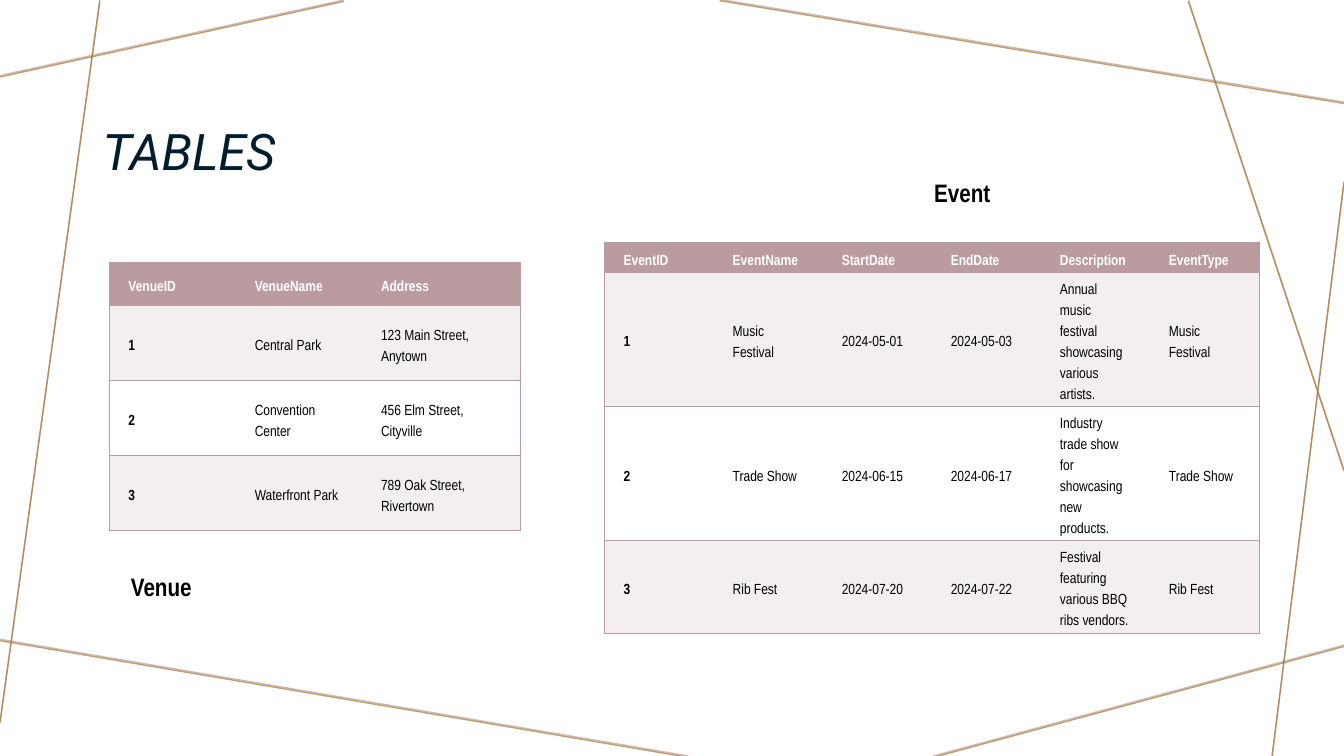
from dataclasses import dataclass

from lxml.etree import SubElement
from pptx import Presentation
from pptx.dml.color import RGBColor
from pptx.enum.shapes import MSO_CONNECTOR
from pptx.enum.text import MSO_ANCHOR
from pptx.oxml.ns import qn
from pptx.util import Pt


@dataclass(frozen=True)
class Theme:
    """Colours, fonts and type sizes of the slide."""
    rose: str = "BA9CA0"
    gold: str = "A57931"
    navy: str = "001E2E"
    black: str = "000000"
    white: str = "FFFFFF"
    band: str = "F3EFF0"
    title_font: str = "Roboto"
    body_font: str = "Arial Narrow"
    title_size: float = 36
    caption_size: float = 18
    cell_size: float = 10.5


RAYS = [
    ((245.5, 0), (0, 54)),
    ((71.3, 0), (0, 515.5)),
    ((491.8, 540), (-3.6, 456)),
    ((960, 460.8), (666.7, 540)),
    ((960, 129.6), (908.6, 540)),
    ((960, 335.5), (848.9, 0)),
    ((960, 72.9), (514.1, -0.5)),
]

EVENTS = [
    ["EventID", "EventName", "StartDate", "EndDate", "Description", "EventType"],
    ["1", "Music Festival", "2024-05-01", "2024-05-03",
     "Annual music festival showcasing various artists.", "Music Festival"],
    ["2", "Trade Show", "2024-06-15", "2024-06-17",
     "Industry trade show for showcasing new products.", "Trade Show"],
    ["3", "Rib Fest", "2024-07-20", "2024-07-22",
     "Festival featuring various BBQ ribs vendors.", "Rib Fest"],
]

VENUES = [
    ["VenueID", "VenueName", "Address"],
    ["1", "Central Park", "123 Main Street, Anytown"],
    ["2", "Convention Center", "456 Elm Street, Cityville"],
    ["3", "Waterfront Park", "789 Oak Street, Rivertown"],
]


class SlideBuilder:
    """Draws styled elements on the current slide."""

    def __init__(self, slide, theme):
        self.shapes = slide.shapes
        self.theme = theme

    def style(self, paragraph, font, size, color, bold=False, italic=False):
        """Format the runs of a paragraph."""
        for run in paragraph.runs:
            run.font.name = font
            run.font.size = Pt(size)
            run.font.color.rgb = RGBColor.from_string(color)
            run.font.bold = bold
            run.font.italic = italic

    def ray(self, start, end, color, drop=0):
        """Draw one translucent line, shifted down by drop."""
        (x1, y1), (x2, y2) = start, end
        ray = self.shapes.add_connector(
            MSO_CONNECTOR.STRAIGHT, Pt(x1), Pt(y1 + drop), Pt(x2), Pt(y2 + drop))
        ray.line.width = Pt(1)
        ray.line.color.rgb = RGBColor.from_string(color)
        properties = ray._element.spPr
        tint = next(properties.iter(qn("a:srgbClr")))
        SubElement(tint, qn("a:alpha"), val="70000")
        SubElement(properties, qn("a:effectLst"))

    def text(self, wording, left, top, width, height, anchor=MSO_ANCHOR.TOP):
        """Add a wrapping text box and return its paragraph."""
        frame = self.shapes.add_textbox(
            Pt(left), Pt(top), Pt(width), Pt(height)).text_frame
        frame.word_wrap = True
        frame.vertical_anchor = anchor
        frame.text = wording
        return frame.paragraphs[0]

    def title(self, wording, *place):
        """Add the slide title."""
        heading = self.text(wording, *place, anchor=MSO_ANCHOR.BOTTOM)
        heading.line_spacing = 0.9
        self.style(heading, self.theme.title_font, self.theme.title_size,
                   self.theme.navy, italic=True)

    def caption(self, wording, *place):
        """Add the name of a table."""
        self.style(self.text(wording, *place), self.theme.body_font,
                   self.theme.caption_size, self.theme.black, bold=True)

    def borders(self, cell, first, last):
        """Rule a cell above and below, and at the outer sides."""
        properties = cell._tc.get_or_add_tcPr()
        for side, ruled in (("L", first), ("R", last), ("T", True), ("B", True)):
            border = SubElement(properties, qn(f"a:ln{side}"), w=str(Pt(1)))
            if ruled:
                fill = SubElement(border, qn("a:solidFill"))
                SubElement(fill, qn("a:srgbClr"), val=self.theme.rose)
            else:
                SubElement(border, qn("a:noFill"))

    def cell(self, cell, wording, row, first, last):
        """Fill and format one table cell."""
        theme = self.theme
        self.borders(cell, first, last)
        cell.fill.solid()
        cell.fill.fore_color.rgb = RGBColor.from_string(
            theme.rose if row == 0 else theme.band if row % 2 else theme.white)
        cell.vertical_anchor = MSO_ANCHOR.MIDDLE
        cell.margin_left = cell.margin_right = Pt(13.5)
        cell.margin_top = cell.margin_bottom = Pt(2.9)
        cell.text = wording
        entry = cell.text_frame.paragraphs[0]
        entry.line_spacing = Pt(15)
        self.style(entry, theme.body_font, theme.cell_size,
                   theme.black if row else theme.white, bold=row == 0 or first)

    def table(self, records, left, top, widths, heights):
        """Add a banded table with a header row."""
        table = self.shapes.add_table(
            len(heights), len(widths), Pt(left), Pt(top),
            Pt(sum(widths)), Pt(sum(heights))).table
        table.first_row = table.horz_banding = False
        for column, width in zip(table.columns, widths):
            column.width = Pt(width)
        for row, (record, height) in enumerate(zip(records, heights)):
            table.rows[row].height = Pt(height)
            for column, wording in enumerate(record):
                self.cell(table.cell(row, column), wording, row,
                          column == 0, column == len(widths) - 1)


def main():
    """Build and save the slide."""
    deck = Presentation()
    deck.slide_width, deck.slide_height = Pt(960), Pt(540)
    theme = Theme()
    builder = SlideBuilder(deck.slides.add_slide(deck.slide_layouts[6]), theme)
    for color, drop in ((theme.rose, 0), (theme.gold, 1)):
        for start, end in RAYS:
            builder.ray(start, end, color, drop)
    builder.title("TABLES", 66.2, 28.8, 813.6, 104.4)
    builder.table(EVENTS, 432, 173.3, [77.9] * 6, [21.3, 95.8, 95.8, 66.2])
    builder.table(VENUES, 78.3, 187.7, [90.2, 90.2, 112.9], [30.6] + [53.6] * 3)
    builder.caption("Venue", 86.4, 404.6, 114.5, 28.8)
    builder.caption("Event", 660.2, 123.1, 159.8, 28.8)
    deck.save("out.pptx")


if __name__ == "__main__":
    main()
